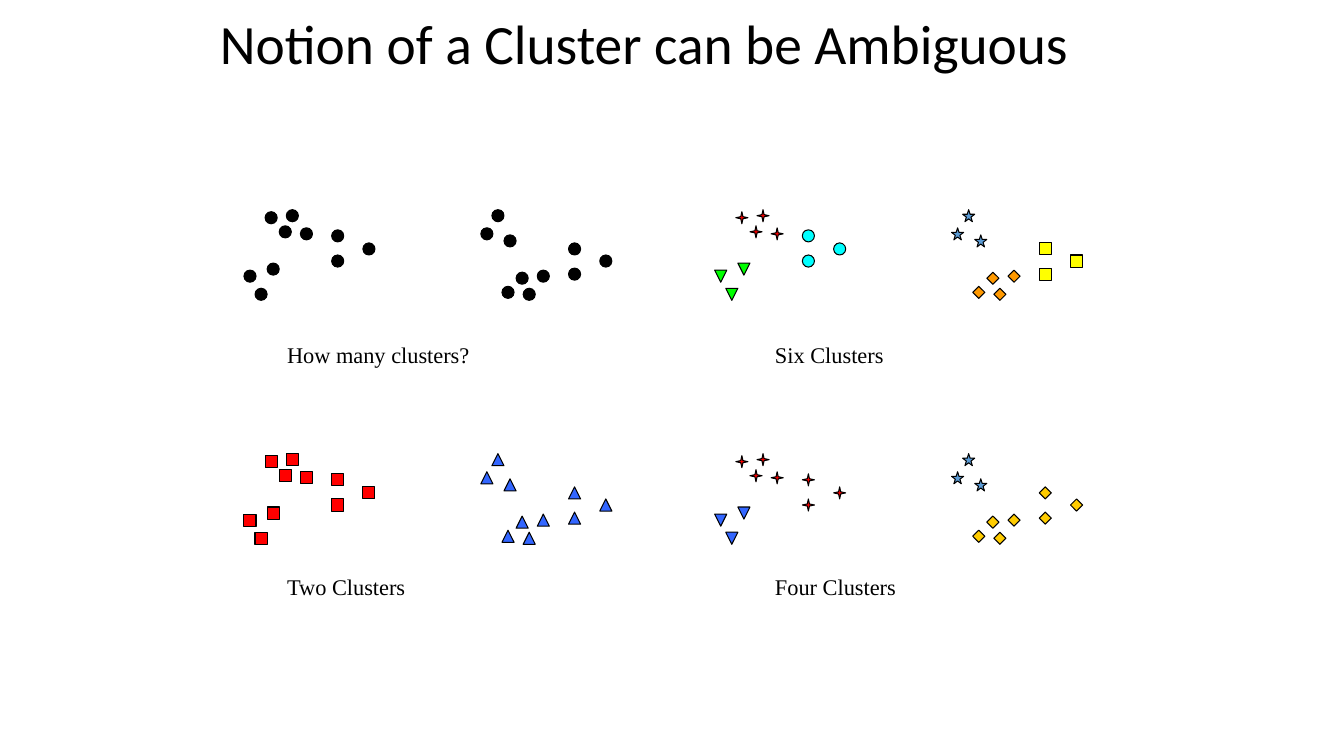
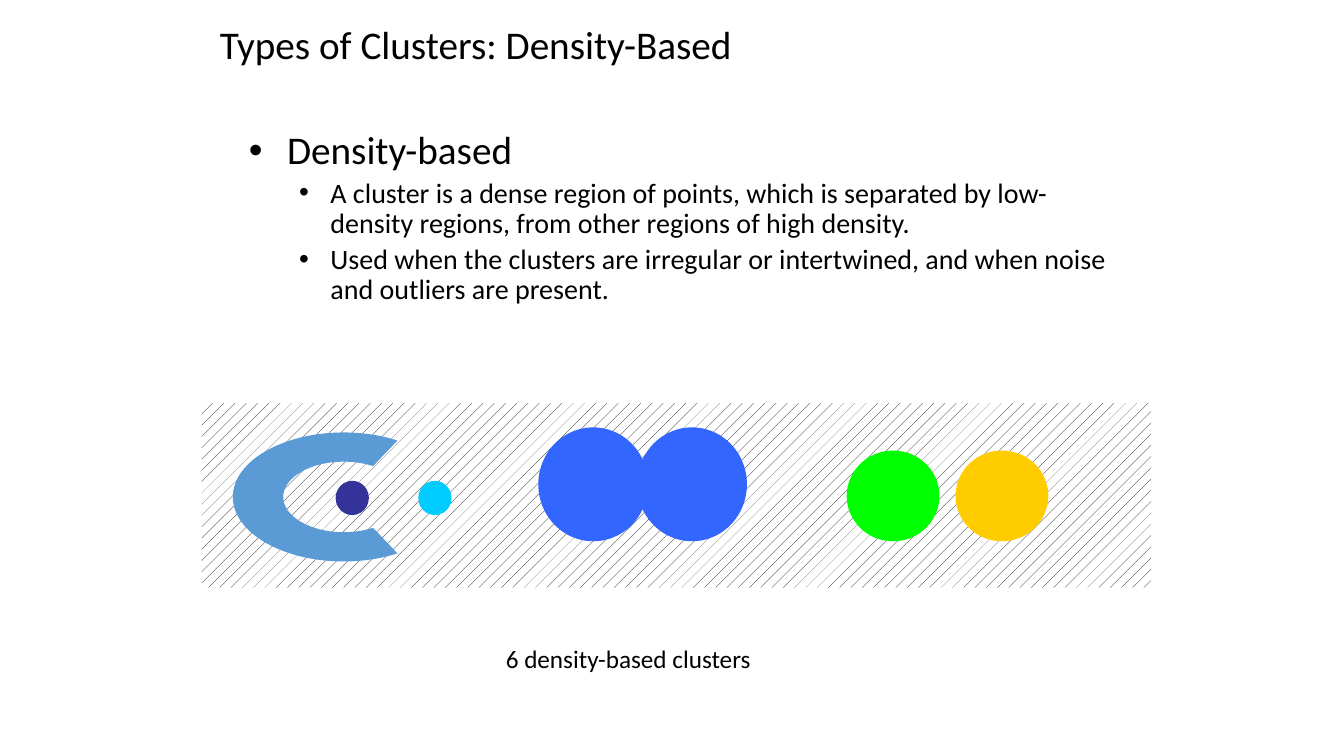
"""Build two slides on ambiguous clusters and density-based clusters."""
from itertools import pairwise
from math import cos, radians, sin, tan

from lxml.etree import SubElement
from pptx import Presentation
from pptx.dml.color import RGBColor
from pptx.enum.dml import MSO_PATTERN
from pptx.enum.shapes import MSO_SHAPE
from pptx.enum.text import MSO_ANCHOR
from pptx.oxml.ns import qn
from pptx.util import Inches, Pt

BLACK, WHITE, RED, BLUE = "000000", "FFFFFF", "FF0000", "3366FF"
SKY, GOLD, GREEN = "5B9BD5", "FFCC00", "00FF00"
TITLE_BOX = (25 / 12, 1 / 6, 9.06, 0.6)
TITLE = {"size": Pt(28), "name": "Calibri"}
BIG_TITLE = {**TITLE, "size": Pt(39.6)}
CAPTION = {"size": Pt(16), "name": "Times New Roman"}
NOTE = {"size": Pt(18), "name": "Calibri"}

DOT = (MSO_SHAPE.OVAL, BLACK)
STAR = (MSO_SHAPE.STAR_5_POINT, SKY)
SPARK = (MSO_SHAPE.STAR_4_POINT, RED)
SQUARE = (MSO_SHAPE.RECTANGLE, RED)
TRIANGLE = (MSO_SHAPE.ISOSCELES_TRIANGLE, BLUE)
DIAMOND = (MSO_SHAPE.DIAMOND, GOLD)
PANELS = [
    ("How many clusters?", 0, 0, [DOT] * 3, [DOT] * 3),
    ("Six Clusters", 1, 0,
     [SPARK, (MSO_SHAPE.FLOWCHART_MERGE, GREEN), (MSO_SHAPE.OVAL, "00FFFF")],
     [(MSO_SHAPE.DIAMOND, "FF9900"), STAR, (MSO_SHAPE.RECTANGLE, "FFFF00")]),
    ("Two Clusters", 0, 1, [SQUARE] * 3, [TRIANGLE] * 3),
    ("Four Clusters", 1, 1,
     [SPARK, (MSO_SHAPE.FLOWCHART_MERGE, BLUE), SPARK], [DIAMOND, STAR, DIAMOND]),
]
CLOUD = [
    [(0.56, 0.18), (0.21, 0.02), (0.42, 0), (0.35, 0.16)],
    [(0.23, 0.53), (0, 0.6), (0.11, 0.78)],
    [(0.87, 0.2), (1.18, 0.33), (0.87, 0.45)],
]
CLOUD_HEIGHT, MARK = 0.78, 0.12
CLOUD_LEFT, CLOUD_TOP, MIRROR_SHIFT = 2.42, 2.08, 2.35
CLOUD_COLUMN, CLOUD_ROW = 4.67, 2.42
CAPTION_LEFT, CAPTION_TOP, CAPTION_COLUMN, CAPTION_ROW = 2.75, 3.34, 4.84, 2.3

BULLETS = [
    (0, "Density-based"),
    (1, "A cluster is a dense region of points, which is separated by "
        "low-density regions, from other regions of high density."),
    (1, "Used when the clusters are irregular or intertwined, and when noise "
        "and outliers are present."),
]
LEVELS = [{"size": 28, "margin": 0.38, "hanging": 0.38},
          {"size": 20, "margin": 0.81, "hanging": 0.31}]
BAND = (2, 4, 9.42, 1.83)
CRESCENT_CENTRE, CRESCENT_RADII = (3.41, 4.93), [(1.1, 0.64), (0.6, 0.35)]
CRESCENT_ANGLES = [61, 90, 180, 270, 299]
REGIONS = [
    ("333399", (3.33, 4.77, 0.33, 0.34)),
    ("00CCFF", (4.15, 4.77, 0.33, 0.34)),
    (GREEN, (8.4, 4.47, 0.92, 0.9)),
    (GOLD, (9.48, 4.47, 0.92, 0.9)),
    (BLUE, (5.34, 4.24, 1.09, 1.13)),
    (BLUE, (6.32, 4.24, 1.09, 1.13)),
]


def color(value):
    return RGBColor.from_string(value)


def style_text(paragraph, text, styles):
    run = paragraph.add_run()
    run.text = text
    for name, value in styles.items():
        setattr(run.font, name, value)
    run.font.color.rgb = color(BLACK)


def add_text(shapes, box, text, styles):
    shape = shapes.add_textbox(*map(Inches, box))
    shape.text_frame.word_wrap = True
    if text:
        style_text(shape.text_frame.paragraphs[0], text, styles)
    return shape.text_frame


def add_title(slide, text, styles):
    frame = add_text(slide.shapes, TITLE_BOX, text, styles)
    frame.vertical_anchor = MSO_ANCHOR.MIDDLE
    frame.paragraphs[0].line_spacing = 0.9


def paint(shape, fill, outlined=False):
    shape.shadow.inherit = False
    shape.fill.solid()
    shape.fill.fore_color.rgb = color(fill)
    if outlined:
        shape.line.color.rgb = color(BLACK)
        shape.line.width = Pt(0.75)
    else:
        shape.line.fill.background()


def add_cloud(shapes, left, top, marks, mirrored):
    for (kind, fill), points in zip(marks, CLOUD):
        for x, y in points:
            y = CLOUD_HEIGHT - y if mirrored else y
            box = (left + x, top + y, MARK, MARK)
            paint(shapes.add_shape(kind, *map(Inches, box)), fill, outlined=True)


def add_panel(slide, caption, column, row, marks, mirrored_marks):
    shapes = slide.shapes.add_group_shape().shapes
    left = CLOUD_LEFT + column * CLOUD_COLUMN
    top = CLOUD_TOP + row * CLOUD_ROW
    add_cloud(shapes, left, top, marks, False)
    add_cloud(shapes, left + MIRROR_SHIFT, top, mirrored_marks, True)
    box = (CAPTION_LEFT + column * CAPTION_COLUMN, CAPTION_TOP + row * CAPTION_ROW, 2.5, 0.37)
    add_text(shapes, box, caption, CAPTION)


def add_bullets(slide):
    frame = add_text(slide.shapes, (2.37, 1.25, 8.75, 5.59), "", {})
    for index, (level, text) in enumerate(BULLETS):
        paragraph = frame.add_paragraph() if index else frame.paragraphs[0]
        look = LEVELS[level]
        paragraph.level = level
        paragraph.line_spacing = 0.9
        paragraph.space_before = Pt(look["size"] * 0.2 if index else 0)
        properties = paragraph._p.get_or_add_pPr()
        properties.set("marL", str(Inches(look["margin"])))
        properties.set("indent", str(-Inches(look["hanging"])))
        SubElement(properties, qn("a:buFont")).set("typeface", "Arial")
        SubElement(properties, qn("a:buChar")).set("char", "•")
        style_text(paragraph, text, {"size": Pt(look["size"]), "name": "Calibri"})


def arc_points(radii, angles):
    """Return the start of an elliptic arc and three Bezier points for each piece."""
    def place(x, y):
        return (Inches(CRESCENT_CENTRE[0] + radii[0] * x),
                Inches(CRESCENT_CENTRE[1] - radii[1] * y))

    turns = [radians(angle) for angle in angles]
    points = [place(cos(turns[0]), sin(turns[0]))]
    for start, end in pairwise(turns):
        pull = 4 / 3 * tan((end - start) / 4)
        points += [place(cos(start) - pull * sin(start), sin(start) + pull * cos(start)),
                   place(cos(end) + pull * sin(end), sin(end) - pull * cos(end)),
                   place(cos(end), sin(end))]
    return points


def add_crescent(shapes):
    outer = arc_points(CRESCENT_RADII[0], CRESCENT_ANGLES)
    inner = arc_points(CRESCENT_RADII[1], CRESCENT_ANGLES[::-1])
    builder = shapes.build_freeform(*outer[0])
    builder.add_line_segments(outer[1:] + inner, close=True)
    crescent = builder.convert_to_shape()
    lines = list(crescent._element.iter(qn("a:lnTo")))
    curved = lines[:len(outer) - 1] + lines[len(outer):]
    for first in range(0, len(curved), 3):
        piece = curved[first:first + 3]
        outline = piece[0].getparent()
        curve = SubElement(outline, qn("a:cubicBezTo"))
        outline.replace(piece[0], curve)
        for line in piece:
            curve.append(line[0])
        for line in piece[1:]:
            outline.remove(line)
    paint(crescent, SKY)


def add_regions(slide):
    shapes = slide.shapes.add_group_shape().shapes
    band = shapes.add_shape(MSO_SHAPE.RECTANGLE, *map(Inches, BAND))
    paint(band, WHITE)
    band.fill.patterned()
    band.fill.pattern = MSO_PATTERN.PERCENT_10
    band.fill.fore_color.rgb = color(BLACK)
    band.fill.back_color.rgb = color(WHITE)
    add_crescent(shapes)
    for fill, box in REGIONS:
        paint(shapes.add_shape(MSO_SHAPE.OVAL, *map(Inches, box)), fill)


def main():
    presentation = Presentation()
    presentation.slide_width, presentation.slide_height = Inches(40 / 3), Inches(7.5)
    blank = presentation.slide_layouts[6]

    slide = presentation.slides.add_slide(blank)
    add_title(slide, "Notion of a Cluster can be Ambiguous", BIG_TITLE)
    for panel in PANELS:
        add_panel(slide, *panel)

    slide = presentation.slides.add_slide(blank)
    add_title(slide, "Types of Clusters: Density-Based", TITLE)
    add_bullets(slide)
    add_regions(slide)
    add_text(slide.shapes, (4.92, 6.33, 3.5, 0.4), "6 density-based clusters", NOTE)

    presentation.save("out.pptx")


if __name__ == "__main__":
    main()
